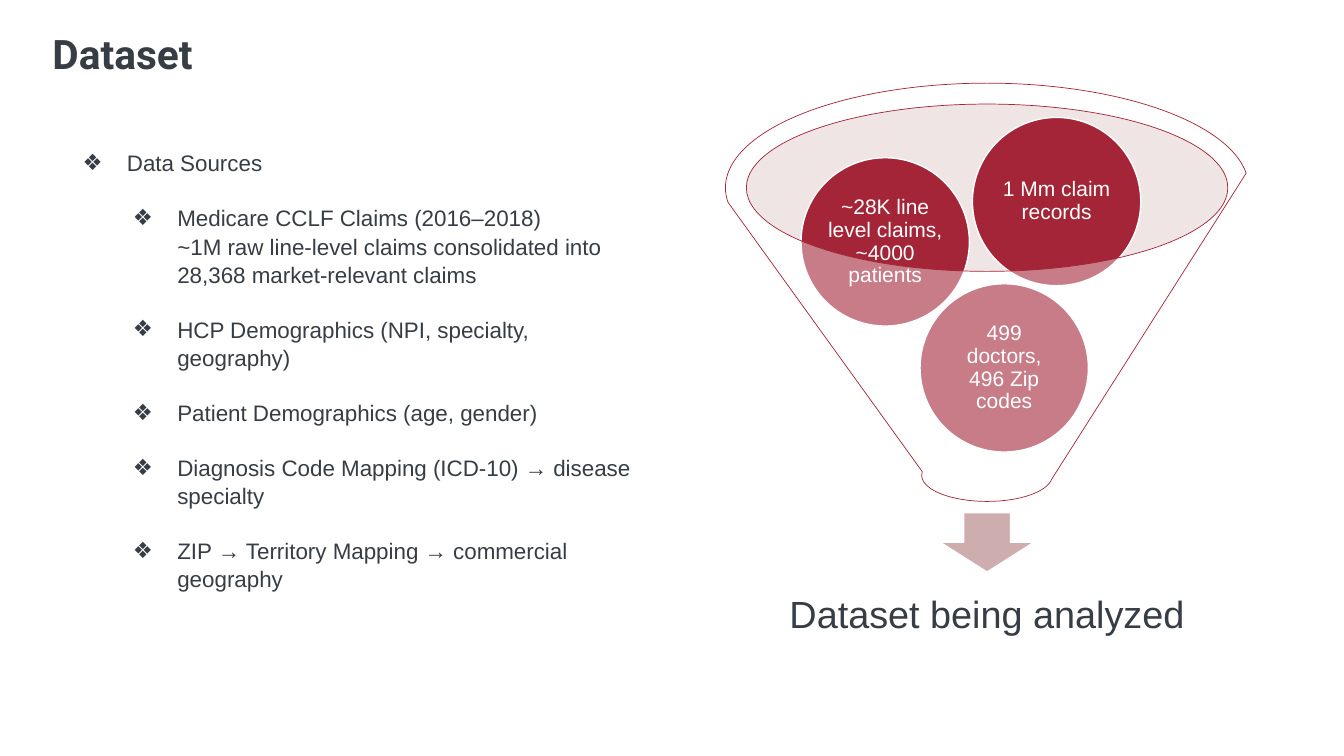
from lxml import etree
from pptx import Presentation
from pptx.dml.color import RGBColor
from pptx.enum import shapes, text
from pptx.oxml.ns import qn
from pptx.util import Inches, Pt

WIDE, HIGH = 13.33, 7.5
INK, RED, WHITE = "363D45", "A32537", "FFFFFF"
TITLE = "Dataset"
RESULT = "Dataset being analyzed"

# (level, lines)
SOURCES = [
    (0, ["Data Sources"]),
    (1, ["Medicare CCLF Claims (2016–2018)",
         "~1M raw line-level claims consolidated into 28,368 market-relevant claims"]),
    (1, ["HCP Demographics (NPI, specialty, geography)"]),
    (1, ["Patient Demographics (age, gender)"]),
    (1, ["Diagnosis Code Mapping (ICD-10) → disease specialty"]),
    (1, ["ZIP → Territory Mapping → commercial geography"]),
]

# (centre x, centre y, label), from back to front
BALL = 1.67
BALLS = [
    (9.96, 3.65, "499 doctors, 496 Zip codes"),
    (8.78, 2.4, "~28K line level claims, ~4000 patients"),
    (10.48, 2.0, "1 Mm claim records"),
]
AXIS = 9.79  # centre line of the funnel
KIND = shapes.MSO_SHAPE


def rgb(code):
    return RGBColor.from_string(code)


def centred(x, y, wide, high):
    return [Inches(n) for n in (x - wide / 2, y - high / 2, wide, high)]


def paint(shape, fill, line=None, width=1, alpha=None):
    shape.shadow.inherit = False
    shape.fill.solid()
    shape.fill.fore_color.rgb = rgb(fill)
    if alpha:
        tint = shape.fill._xPr.find(qn("a:solidFill"))[0]
        etree.SubElement(tint, qn("a:alpha"), val=str(alpha * 1000))
    if line:
        shape.line.color.rgb = rgb(line)
        shape.line.width = Pt(width)
    else:
        shape.line.fill.background()


def write(para, lines, size, color=INK, face="Arial", bold=False):
    for i, line in enumerate(lines):
        if i:
            para.add_line_break()
        run = para.add_run()
        run.text = line
        font = run.font
        font.size, font.name, font.bold = Pt(size), face, bold
        font.color.rgb = rgb(color)


def frame(shape, inset, anchor):
    box = shape.text_frame
    box.word_wrap = True
    box.vertical_anchor = anchor
    box.margin_left = box.margin_right = Inches(inset)
    box.margin_top = box.margin_bottom = Inches(inset / 2 if inset == 0.1 else inset)
    return box


def label(shape, words, size, color, inset):
    para = frame(shape, inset, text.MSO_ANCHOR.MIDDLE).paragraphs[0]
    para.alignment = text.PP_ALIGN.CENTER
    para.line_spacing = 0.9
    write(para, [words], size, color)


def bullet(para, level):
    para.level = level
    props = para._p.get_or_add_pPr()
    props.set("marL", str(Inches(0.44 + level / 2)))
    props.set("indent", str(Inches(-0.44)))
    etree.SubElement(props, qn("a:buFont"), typeface="Arial")
    etree.SubElement(props, qn("a:buChar"), char="❖")


def add_title(slide):
    title = slide.shapes.title
    title.left, title.top = Inches(0.42), 0
    title.width, title.height = Inches(11.5), Inches(0.83)
    para = frame(title, 0.1, text.MSO_ANCHOR.BOTTOM).paragraphs[0]
    para.alignment = text.PP_ALIGN.LEFT
    para.line_spacing = 0.9
    write(para, [TITLE], 29, face="Roboto", bold=True)


def add_list(slide):
    area = [Inches(n) for n in (0.72, 1.42, 5.81, 4.41)]
    box = frame(slide.shapes.add_textbox(*area), 0.1, text.MSO_ANCHOR.TOP)
    for i, (level, lines) in enumerate(SOURCES):
        para = box.add_paragraph() if i else box.paragraphs[0]
        bullet(para, level)
        para.line_spacing = 1.05
        if i:
            para.space_before = Pt(19.2)
        write(para, lines, 16)


def add_funnel(slide):
    draw = slide.shapes
    mouth = draw.add_shape(KIND.OVAL, *centred(AXIS, 1.86, 4.78, 1.66))
    paint(mouth, "D7BEBF", alpha=40)
    arrow = draw.add_shape(KIND.DOWN_ARROW, *centred(AXIS, 5.38, 0.93, 0.59))
    paint(arrow, "CEADAE", WHITE)
    result = draw.add_textbox(*centred(AXIS, 6.11, 4.44, 1.11))
    label(result, RESULT, 27, INK, 0.21)
    for x, y, words in BALLS:
        ball = draw.add_shape(KIND.OVAL, *centred(x, y, BALL, BALL))
        paint(ball, RED, WHITE)
        label(ball, words, 15, WHITE, 0.02)
    funnel = draw.add_shape(KIND.FUNNEL, *centred(AXIS, 2.9, 5.19, 4.15))
    paint(funnel, WHITE, RED, 0.5, alpha=40)


def main():
    deck = Presentation()
    deck.slide_width, deck.slide_height = Inches(WIDE), Inches(HIGH)
    slide = deck.slides.add_slide(deck.slide_layouts[5])
    add_title(slide)
    add_list(slide)
    add_funnel(slide)
    deck.save("out.pptx")


if __name__ == "__main__":
    main()
